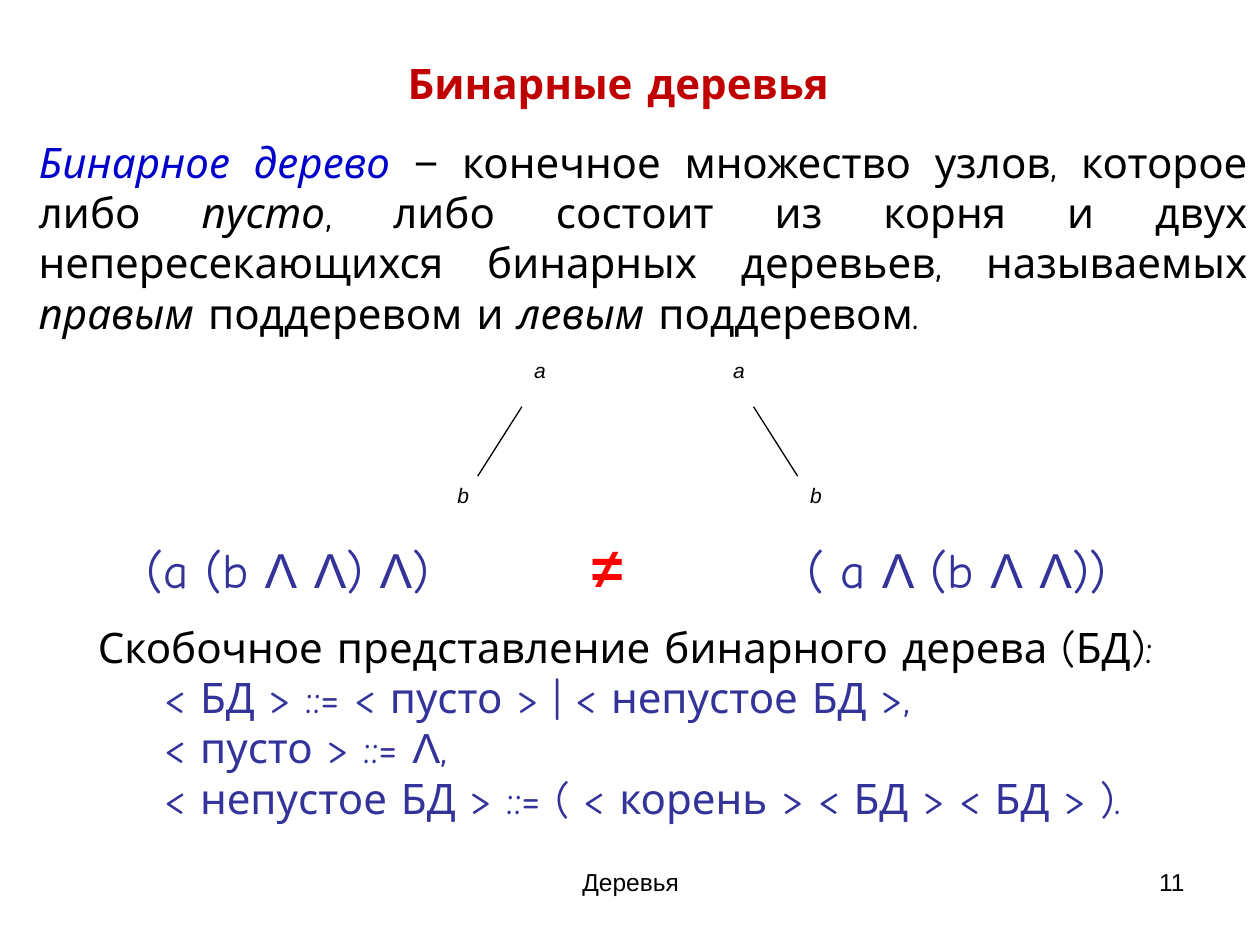
"""Build the slide on binary trees and their bracket notation."""
from dataclasses import dataclass, field

from lxml import etree
from pptx import Presentation
from pptx.dml.color import RGBColor
from pptx.enum.shapes import MSO_CONNECTOR, MSO_SHAPE
from pptx.enum.text import MSO_ANCHOR, PP_ALIGN
from pptx.oxml.ns import qn
from pptx.shapes.shapetree import GroupShapes
from pptx.slide import Slide
from pptx.text.text import TextFrame
from pptx.util import Cm, Pt

LEFT, CENTER, RIGHT, JUSTIFY = PP_ALIGN.LEFT, PP_ALIGN.CENTER, PP_ALIGN.RIGHT, PP_ALIGN.JUSTIFY
TOP, MIDDLE = MSO_ANCHOR.TOP, MSO_ANCHOR.MIDDLE
RECTANGLE, STRAIGHT = MSO_SHAPE.RECTANGLE, MSO_CONNECTOR.STRAIGHT

BLACK = RGBColor(0x00, 0x00, 0x00)
WHITE = RGBColor(0xFF, 0xFF, 0xFF)
DARK_RED = RGBColor(0xC0, 0x00, 0x00)
RED = RGBColor(0xFF, 0x00, 0x00)
BLUE = RGBColor(0x00, 0x00, 0xCC)
INDIGO = RGBColor(0x33, 0x33, 0x99)

HAND, SANS = "Comic Neue", "Arial"
NODE_WIDTH, NODE_HEIGHT = 0.66, 0.76
ROOT_TOP, CHILD_TOP, EDGE_TOP = 7.09, 9.6, 8.2
CHILD_OFFSET = 1.55


@dataclass
class TextRun:
    """A stretch of text with one look."""
    text: str
    size: float = 24
    color: RGBColor = BLACK
    font: str = HAND
    bold: bool = False
    italic: bool = False


@dataclass
class TextParagraph:
    """A paragraph made of runs; lengths are in centimetres."""
    runs: list[TextRun]
    alignment: PP_ALIGN = LEFT
    indent: float = 0
    space_before: float = 0
    tabs: list[float] = field(default_factory=list)


@dataclass
class TextBlock:
    """A text box with its place in centimetres."""
    left: float
    top: float
    width: float
    height: float
    paragraphs: list[TextParagraph]
    anchor: MSO_ANCHOR = TOP


@dataclass
class Tree:
    """A two-node tree whose child hangs to one side: -1 left, 1 right."""
    center: float
    side: int


def formula(text: str) -> list[TextRun]:
    """Split a formula so that each lambda takes the sans font."""
    pieces = text.split("Λ")
    runs = [TextRun(pieces[0], 28, INDIGO)]
    for piece in pieces[1:]:
        runs += [TextRun("Λ", 28, INDIGO, SANS), TextRun(piece, 28, INDIGO)]
    return runs


def rule(*runs: TextRun) -> TextParagraph:
    """Make an indented grammar rule."""
    return TextParagraph(list(runs), indent=2.54)


BLOCKS = [
    TextBlock(8.69, 17.35, 8.05, 1.32, [
        TextParagraph([TextRun("Деревья", 14, font=SANS)], CENTER)]),
    TextBlock(18.21, 17.35, 5.92, 1.32, [
        TextParagraph([TextRun("11", 14, font=SANS)], RIGHT)]),
    TextBlock(1.27, 0.76, 22.86, 1.37, [
        TextParagraph([TextRun("Бинарные деревья", color=DARK_RED, bold=True),
                       TextRun(" ", 40, DARK_RED)], CENTER)], MIDDLE),
    TextBlock(0.53, 2.62, 24.87, 4.55, [
        TextParagraph([
            TextRun("Бинарное дерево ", color=BLUE, italic=True),
            TextRun("−", font=SANS),
            TextRun(" конечное множество узлов, которое либо "),
            TextRun("пусто", italic=True),
            TextRun(", либо состоит из корня и двух непересекающихся "
                    "бинарных деревьев, называемых "),
            TextRun("правым", italic=True),
            TextRun(" поддеревом и "),
            TextRun("левым ", italic=True),
            TextRun("поддеревом."),
        ], JUSTIFY)]),
    TextBlock(0.53, 10.62, 24.16, 6.1, [
        TextParagraph(
            formula("\t(a (b Λ Λ) Λ)\t")
            + [TextRun("≠", 32, RED, SANS, bold=True)]
            + formula("\t( a Λ (b Λ Λ))"),
            tabs=[2.18, 11.15, 15.49]),
        TextParagraph([TextRun("Скобочное представление бинарного дерева (БД):")],
                      CENTER, space_before=12),
        rule(TextRun("< БД > ::= < пусто > | < непустое БД >,", color=INDIGO)),
        rule(TextRun("< пусто > ::= ", color=INDIGO),
             TextRun("Λ", color=INDIGO, font=SANS), TextRun(",", color=INDIGO)),
        rule(TextRun("< непустое БД > ::= ( < корень > < БД > < БД > ).", color=INDIGO)),
    ]),
]
TREES = [Tree(10.85, -1), Tree(14.86, 1)]


def write_text(frame: TextFrame, paragraphs: list[TextParagraph]) -> None:
    """Fill a text frame with paragraphs, run by run."""
    frame.word_wrap = True
    for index, content in enumerate(paragraphs):
        paragraph = frame.add_paragraph() if index else frame.paragraphs[0]
        paragraph.alignment = content.alignment
        properties = paragraph._p.get_or_add_pPr()
        if content.indent:
            properties.set("marL", str(Cm(content.indent)))
            properties.set("indent", "0")
        if content.space_before:
            paragraph.space_before = Pt(content.space_before)
        if content.tabs:
            tab_list = etree.SubElement(properties, qn("a:tabLst"))
            for position in content.tabs:
                etree.SubElement(tab_list, qn("a:tab"), pos=str(Cm(position)), algn="l")
        for part in content.runs:
            run = paragraph.add_run()
            run.text = part.text
            run.font.name = part.font
            run.font.size = Pt(part.size)
            run.font.bold = part.bold
            run.font.italic = part.italic
            run.font.color.rgb = part.color


def add_block(slide: Slide, block: TextBlock) -> None:
    """Draw a text box."""
    shape = slide.shapes.add_textbox(
        Cm(block.left), Cm(block.top), Cm(block.width), Cm(block.height))
    shape.text_frame.vertical_anchor = block.anchor
    write_text(shape.text_frame, block.paragraphs)


def add_node(shapes: GroupShapes, label: str, center: float, top: float) -> None:
    """Draw a labelled tree node."""
    shape = shapes.add_shape(RECTANGLE, Cm(center - NODE_WIDTH / 2), Cm(top),
                             Cm(NODE_WIDTH), Cm(NODE_HEIGHT))
    shape.shadow.inherit = False
    shape.fill.solid()
    shape.fill.fore_color.rgb = WHITE
    shape.line.fill.background()
    shape.text_frame.vertical_anchor = TOP
    write_text(shape.text_frame,
               [TextParagraph([TextRun(label, 12, font=SANS, italic=True)])])


def add_tree(slide: Slide, tree: Tree) -> None:
    """Draw a root, its child and the edge between them."""
    shapes = slide.shapes.add_group_shape().shapes
    child_center = tree.center + tree.side * CHILD_OFFSET
    add_node(shapes, "a", tree.center, ROOT_TOP)
    add_node(shapes, "b", child_center, CHILD_TOP)
    inset = tree.side * NODE_WIDTH / 2
    edge = shapes.add_connector(STRAIGHT, Cm(tree.center + inset), Cm(EDGE_TOP),
                                Cm(child_center - inset), Cm(CHILD_TOP))
    edge.line.color.rgb = BLACK
    edge.line.width = Pt(0.75)
    etree.SubElement(edge._element.spPr, qn("a:effectLst"))


def main() -> None:
    """Build and save the presentation."""
    presentation = Presentation()
    presentation.slide_width, presentation.slide_height = Cm(25.4), Cm(19.05)
    slide = presentation.slides.add_slide(presentation.slide_layouts[6])
    for block in BLOCKS:
        add_block(slide, block)
    for tree in TREES:
        add_tree(slide, tree)
    presentation.save("out.pptx")


if __name__ == "__main__":
    main()
